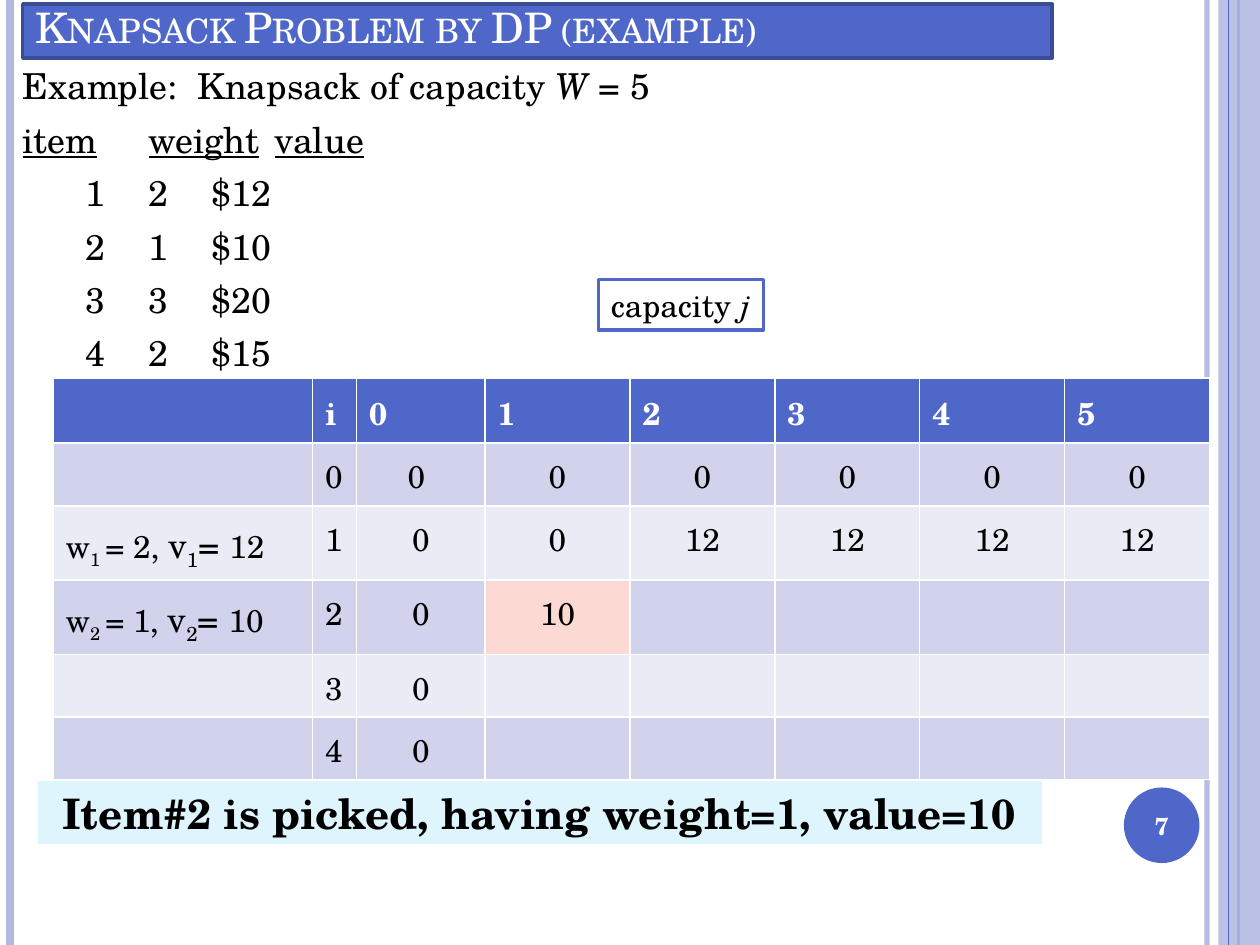
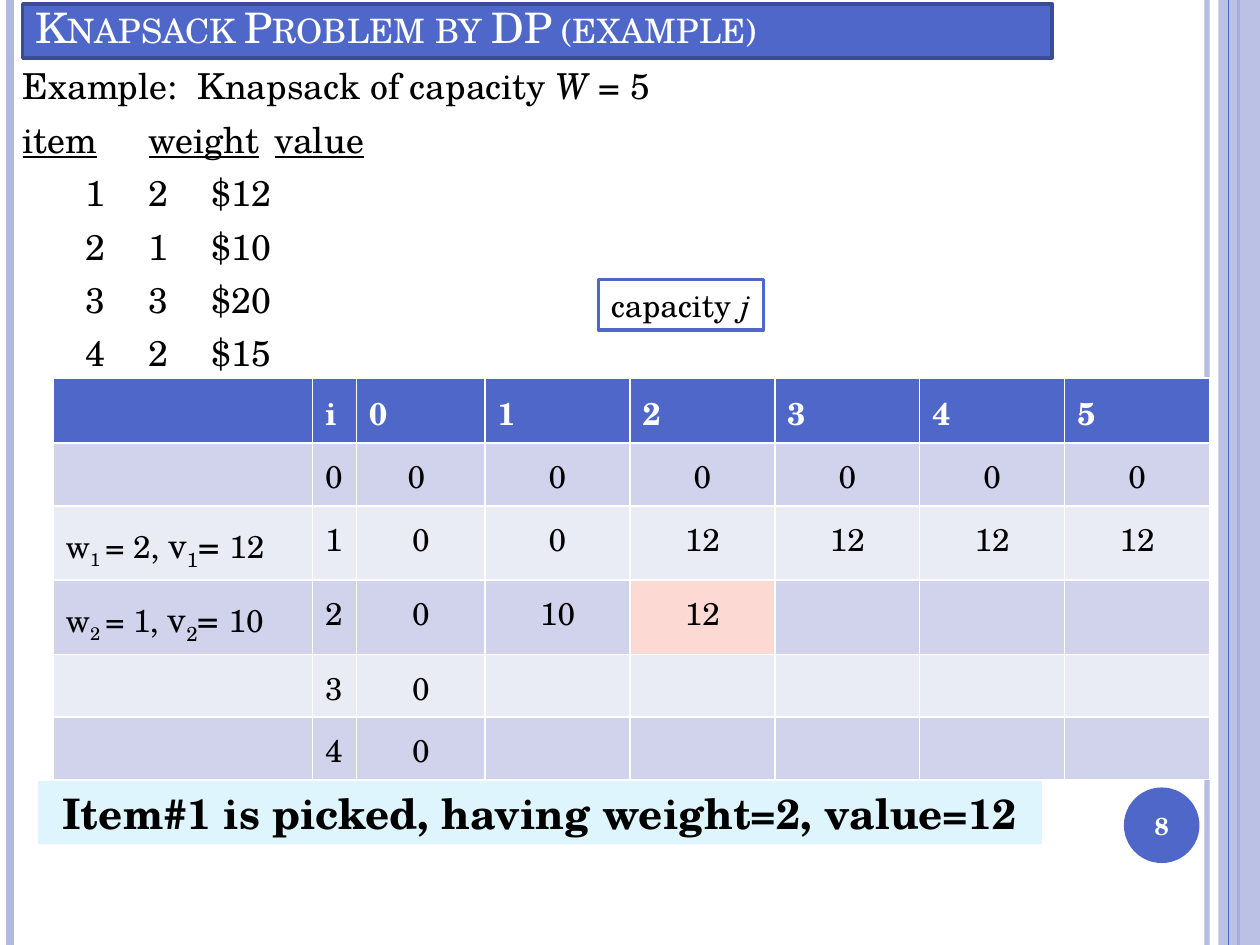
"""Build two slides that step through the knapsack dynamic programming table."""
from lxml import etree
from pptx import Presentation
from pptx.dml.color import RGBColor
from pptx.enum.shapes import MSO_CONNECTOR, MSO_SHAPE
from pptx.enum.text import MSO_ANCHOR, MSO_AUTO_SIZE, PP_ALIGN
from pptx.oxml.ns import qn
from pptx.util import Inches, Pt

STRAIGHT = MSO_CONNECTOR.STRAIGHT
RECTANGLE, OVAL = MSO_SHAPE.RECTANGLE, MSO_SHAPE.OVAL
TOP, MIDDLE, BOTTOM = MSO_ANCHOR.TOP, MSO_ANCHOR.MIDDLE, MSO_ANCHOR.BOTTOM
LEFT, CENTER = PP_ALIGN.LEFT, PP_ALIGN.CENTER
NO_AUTOFIT = MSO_AUTO_SIZE.NONE

FONT = "TeX Gyre Schola"
COLORS = {
    "accent": "4E67C8", "accent_dark": "3A4C94", "lavender": "B2B8E0",
    "white": "FFFFFF", "black": "000000", "banner": "DFF5FD",
    "band_dark": "D0D3EB", "band_light": "E9EBF5", "current": "FCD9D3",
}
TITLE = "Knapsack Problem by DP (example)"
ITEMS = [(1, 2, 12), (2, 1, 10), (3, 3, 20), (4, 2, 15)]
HEADING_TABS = (1.07, 2.42, 4.15)
ITEM_TABS = (0.24, 1.41, 2.6)
COLUMN_WIDTHS = [2.06, 0.35, 1.02] + [1.15] * 5
ROW_HEIGHTS = [0.48, 0.47, 0.54, 0.54, 0.47, 0.46]
KNOWN_ROWS = [["0 "] + ["0"] * 5, ["0", "0"] + ["12"] * 4]
STEPS = [
    {"number": 7, "row_two": ["0", "10"],
     "pick": " Item#2 is picked, having weight=1, value=10"},
    {"number": 8, "row_two": ["0", "10", "12"],
     "pick": " Item#1 is picked, having weight=2, value=12"},
]


def rgb(name):
    return RGBColor.from_string(COLORS[name])


def write(paragraph, runs, size, color="black", bold=False, align=LEFT):
    paragraph.alignment = align
    font = paragraph.font
    font.name, font.size, font.bold = FONT, Pt(size), bold
    font.color.rgb = rgb(color)
    for text, style in runs:
        run = paragraph.add_run()
        run.text = text
        if "size" in style:
            run.font.size = Pt(style["size"])
        if "italic" in style:
            run.font.italic = True
        if "underline" in style:
            run.font.underline = True
        for attribute in ("baseline", "cap"):
            if attribute in style:
                run.font._element.set(attribute, style[attribute])


def place(shape, left, top, width, height):
    shape.left, shape.top = Inches(left), Inches(top)
    shape.width, shape.height = Inches(width), Inches(height)


def paint(shape, fill, line=None):
    shape.fill.solid()
    shape.fill.fore_color.rgb = rgb(fill)
    if line:
        shape.line.color.rgb = rgb(line)
        shape.line.width = Pt(2)
    else:
        shape.line.fill.background()


def set_opacity(shape, percent):
    color = shape._element.spPr.find(".//" + qn("a:srgbClr"))
    etree.SubElement(color, qn("a:alpha")).set("val", str(percent * 1000))


def add_panel(slide, preset, box, fill, line=None):
    panel = slide.shapes.add_shape(preset, *map(Inches, box))
    panel.shadow.inherit = False
    paint(panel, fill, line)
    return panel


def add_label(slide, box, runs, size, fill, line=None, bold=False):
    frame = add_panel(slide, RECTANGLE, box, fill, line).text_frame
    frame.word_wrap = False
    frame.vertical_anchor = TOP
    write(frame.paragraphs[0], runs, size, bold=bold)


def add_rail(slide, x, color, width):
    rail = slide.shapes.add_connector(
        STRAIGHT, Inches(x), 0, Inches(x), Inches(7.5))
    rail.line.color.rgb = rgb(color)
    rail.line.width = Pt(width)
    etree.SubElement(rail._element.spPr, qn("a:effectLst"))
    return rail


def add_frame(slide, number):
    set_opacity(add_rail(slide, 9.58, "lavender", 3), 93)
    add_rail(slide, 0.08, "lavender", 4.5)
    add_rail(slide, 9.83, "accent", 1.5)
    set_opacity(add_panel(slide, RECTANGLE, (9.67, 0, 0.33, 7.5), "lavender"), 87)
    add_rail(slide, 9.75, "accent", 0.75)
    badge = add_panel(slide, OVAL, (8.92, 6.25, 0.6, 0.6), "accent").text_frame
    badge.margin_left = badge.margin_right = 0
    badge.vertical_anchor = MIDDLE
    write(badge.paragraphs[0], [(str(number), {})], 14, "white", True, CENTER)


def fill_title(slide):
    title = slide.shapes.title
    place(title, 0.18, 0.03, 8.17, 0.43)
    paint(title, "accent", "accent_dark")
    frame = title.text_frame
    frame.auto_size = NO_AUTOFIT
    frame.vertical_anchor = BOTTOM
    write(frame.paragraphs[0], [(TITLE, {"cap": "small"})], 24, "white")


def set_tabs(paragraph, stops):
    properties = paragraph._p.get_or_add_pPr()
    properties.set("marL", "0")
    properties.set("indent", "0")
    etree.SubElement(properties, qn("a:buNone"))
    if stops:
        tabs = etree.SubElement(properties, qn("a:tabLst"))
        for stop in stops:
            tab = etree.SubElement(tabs, qn("a:tab"))
            tab.set("pos", str(Inches(stop)))
            tab.set("algn", "l")


def fill_items(slide):
    body = slide.placeholders[1]
    place(body, 0.08, 0.46, 7.42, 2.25)
    frame = body.text_frame
    frame.auto_size = NO_AUTOFIT
    lines = [
        ([("Example:  Knapsack of capacity ", {}), ("W ", {"italic": True}),
          ("= 5", {})], ()),
        ([("item\tweight\tvalue\t", {"underline": True})], HEADING_TABS),
    ]
    lines += [([(f"\t{item}\t{weight}\t${value}", {})], ITEM_TABS)
              for item, weight, value in ITEMS]
    for index, (runs, stops) in enumerate(lines):
        paragraph = frame.add_paragraph() if index else frame.paragraphs[0]
        set_tabs(paragraph, stops)
        paragraph.space_before = Pt(6 if index else 0)
        write(paragraph, runs, 20.4)


def item_label(item, weight, value):
    return [
        ("w", {}), (f"{item} ", {"baseline": "-25000"}), (f"= {weight}, ", {}),
        ("v", {"size": 20}), (str(item), {"size": 20, "baseline": "-25000"}),
        ("= ", {"size": 20}), (str(value), {}),
    ]


def fill_cell(cell, runs, fill, margin_top=0.08, **style):
    cell.fill.solid()
    cell.fill.fore_color.rgb = rgb(fill)
    cell.margin_top = Inches(margin_top)
    if runs:
        write(cell.text_frame.paragraphs[0], runs, 18, **style)


def add_dp_table(slide, row_two):
    value_rows = KNOWN_ROWS + [row_two, ["0"], ["0"]]
    table = slide.shapes.add_table(
        len(ROW_HEIGHTS), len(COLUMN_WIDTHS), Inches(0.42), Inches(3),
        Inches(sum(COLUMN_WIDTHS)), Inches(sum(ROW_HEIGHTS))).table
    for column, width in zip(table.columns, COLUMN_WIDTHS):
        column.width = Inches(width)
    for row, height in zip(table.rows, ROW_HEIGHTS):
        row.height = Inches(height)

    for column, heading in enumerate(["", "i", *"012345"]):
        runs = [(heading, {})] if heading else []
        fill_cell(table.cell(0, column), runs, "accent", color="white", bold=True)

    for i, values in enumerate(value_rows):
        band = "band_light" if i % 2 else "band_dark"
        label = item_label(*ITEMS[i - 1]) if i in (1, 2) else []
        fill_cell(table.cell(i + 1, 0), label, band, margin_top=0.1)
        fill_cell(table.cell(i + 1, 1), [(str(i), {})], band)
        for capacity in range(6):
            runs = [(values[capacity], {})] if capacity < len(values) else []
            is_current = i == 2 and capacity == len(row_two) - 1
            fill_cell(table.cell(i + 1, capacity + 2), runs,
                      "current" if is_current else band, align=CENTER)


def add_step(deck, step):
    slide = deck.slides.add_slide(deck.slide_layouts[1])
    add_frame(slide, step["number"])
    fill_title(slide)
    fill_items(slide)
    add_dp_table(slide, step["row_two"])
    add_label(slide, (4.75, 2.22, 1.31, 0.4),
              [("capacity ", {}), ("j", {"italic": True})],
              18, "white", line="accent")
    add_label(slide, (0.3, 6.2, 7.97, 0.5), [(step["pick"], {})],
              24, "banner", bold=True)


def main():
    deck = Presentation()
    deck.slide_width, deck.slide_height = Inches(10), Inches(7.5)
    for step in STEPS:
        add_step(deck, step)
    deck.save("out.pptx")


if __name__ == "__main__":
    main()
